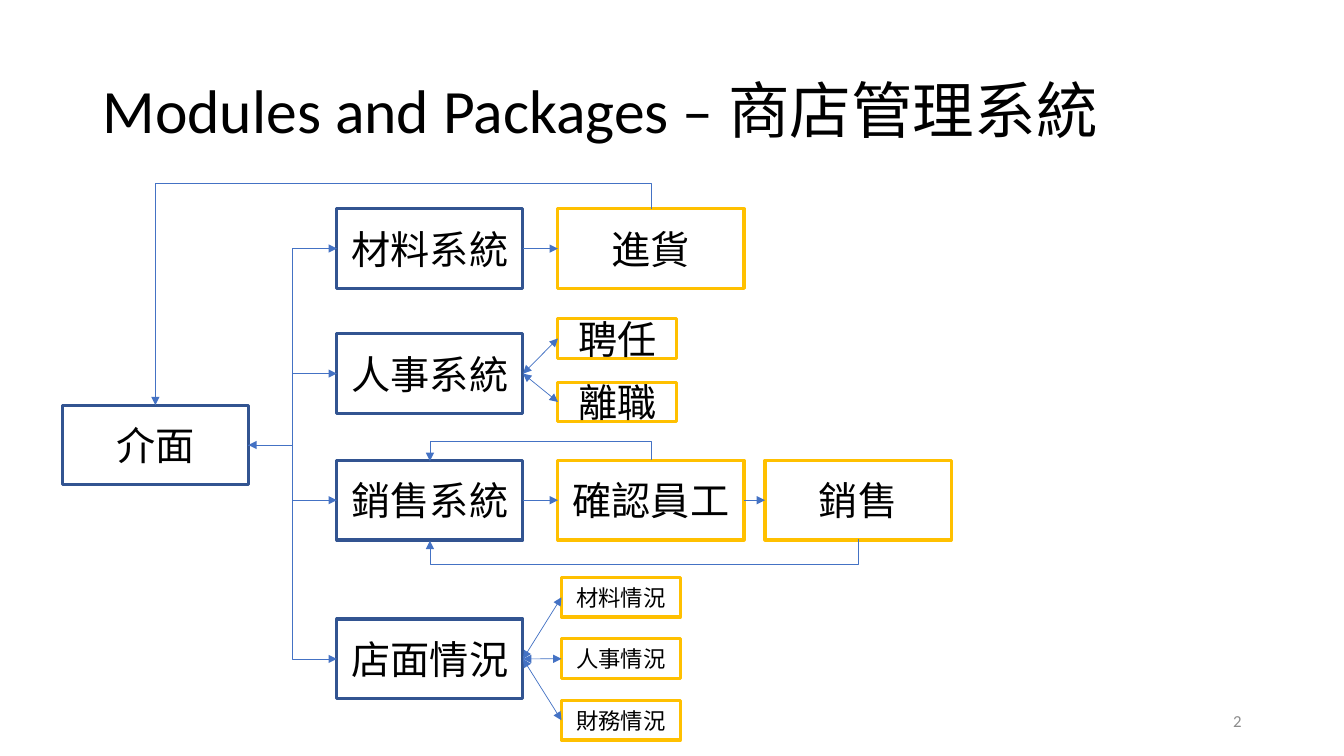
from lxml import etree
from pptx import Presentation
from pptx.dml import color
from pptx.enum import shapes, text
from pptx.oxml import ns
from pptx.util import Cm, Pt

NAVY, GOLD, BLUE, BLACK, GREY = "325491", "FFC000", "4472C4", "000000", "8C8C8C"
LATIN, HAN = "Calibri", "Noto Sans CJK SC"
TOP, LEFT, BOTTOM, RIGHT = range(4)  # connection sites of a rectangle
WIDE, SMALL = (4.69, 2.01), (3, 1)


def rgb(code):
    return color.RGBColor.from_string(code)


def assign(item, values):
    for name, value in values.items():
        setattr(item, name, value)


def place(item, left, top, width, height):
    assign(item, {"left": Cm(left), "top": Cm(top), "width": Cm(width), "height": Cm(height)})


def write(frame, words, size, align, face=LATIN, ink=BLACK):
    assign(frame, {"word_wrap": True, "vertical_anchor": text.MSO_ANCHOR.MIDDLE})
    line = frame.paragraphs[0]
    line.alignment = align
    run = line.add_run()
    run.text = words
    assign(run.font, {"size": Pt(size), "name": face})
    run.font.color.rgb = rgb(ink)
    if face == HAN:
        etree.SubElement(run.font._element, ns.qn("a:ea"), typeface=face)
    return line


def box(slide, words, left, top, edge, dims=WIDE, size=28):
    item = slide.shapes.add_shape(shapes.MSO_SHAPE.RECTANGLE, Cm(left), Cm(top), *map(Cm, dims))
    item.shadow.inherit = False
    item.fill.background()
    item.line.color.rgb = rgb(edge)
    item.line.width = Pt(2.25)
    write(item.text_frame, words, size, text.PP_ALIGN.CENTER, HAN)
    return item


def link(slide, start, end, sites=(RIGHT, LEFT), kind="STRAIGHT", both=False):
    """Join two boxes with an arrow glued to their connection sites."""
    wire = slide.shapes.add_connector(shapes.MSO_CONNECTOR[kind], 0, 0, 0, 0)
    wire.begin_connect(start, sites[0])
    wire.end_connect(end, sites[1])
    wire.line.color.rgb = rgb(BLUE)
    wire.line.width = Pt(0.5)
    for tag in ("headEnd", "tailEnd") if both else ("tailEnd",):
        etree.SubElement(wire.line._ln, ns.qn(f"a:{tag}"), type="triangle")
    etree.SubElement(wire._element.spPr, ns.qn("a:effectLst"))
    return wire


def loop(slide, start, end, site, rise):
    """Lead an arrow back to the left, with its long run offset by rise."""
    wire = link(slide, start, end, (site, TOP if site == TOP else BOTTOM), "ELBOW")
    near, far = wire.begin_x, wire.end_x
    first, last = wire.begin_y, wire.end_y
    span, reach = max(last - first, Cm(0.03)), near - far
    # A quarter turn makes the elbow leave its box vertically.
    wire.begin_x = (near + far - span) // 2
    wire.end_x = wire.begin_x + span
    wire.begin_y = (first + last - reach) // 2
    wire.end_y = wire.begin_y + reach
    frame = wire._element.spPr.find(ns.qn("a:xfrm"))
    for name in ("flipH", "flipV"):
        frame.attrib.pop(name, None)
    frame.set("rot", str(90 * 60000))
    guides = wire._element.spPr.find(ns.qn("a:prstGeom")).find(ns.qn("a:avLst"))
    bend = round(Cm(rise) / span * 100000)
    etree.SubElement(guides, ns.qn("a:gd"), name="adj1", fmla=f"val {bend}")


def main():
    deck = Presentation()
    assign(deck, {"slide_width": Cm(33.87), "slide_height": Cm(19.05)})
    slide = deck.slides.add_slide(deck.slide_layouts[5])

    title = slide.shapes.title
    place(title, 2.33, 1.01, 29.21, 3.68)
    line = write(title.text_frame, "Modules and Packages – 商店管理系統", 44, text.PP_ALIGN.LEFT)
    line.line_spacing = 0.9
    page = slide.shapes.add_textbox(Cm(23.92), Cm(17.66), Cm(7.62), Cm(1.01))
    write(page.text_frame, "2", 12, text.PP_ALIGN.RIGHT, ink=GREY)

    menu = box(slide, "介面", 1.57, 10.21, NAVY)
    parts = (("材料系統", 5.26), ("人事系統", 8.41), ("銷售系統", 11.6), ("店面情況", 15.6))
    stock, staff, sales, shop = [box(slide, words, 8.49, top, NAVY) for words, top in parts]
    intake = box(slide, "進貨", 14.06, 5.26, GOLD)
    check = box(slide, "確認員工", 14.06, 11.6, GOLD)
    sell = box(slide, "銷售", 19.28, 11.6, GOLD)
    jobs = [box(slide, words, 14.06, 8.03 + 1.6 * row, GOLD, SMALL)
            for row, words in enumerate(("聘任", "離職"))]
    states = [box(slide, words, 14.15, 14.55 + 1.55 * row, GOLD, SMALL, 16)
              for row, words in enumerate(("材料情況", "人事情況", "財務情況"))]

    for part in (stock, staff, sales, shop):
        link(slide, menu, part, kind="ELBOW", both=part is shop)
    for start, end in ((stock, intake), (sales, check), (check, sell)):
        link(slide, start, end)
    for start, ends in ((staff, jobs), (shop, states)):
        for end in ends:
            link(slide, start, end, both=True)
    loop(slide, intake, menu, TOP, -0.63)
    loop(slide, check, sales, TOP, -0.47)
    loop(slide, sell, sales, BOTTOM, 0.63)
    deck.save("out.pptx")


if __name__ == "__main__":
    main()
